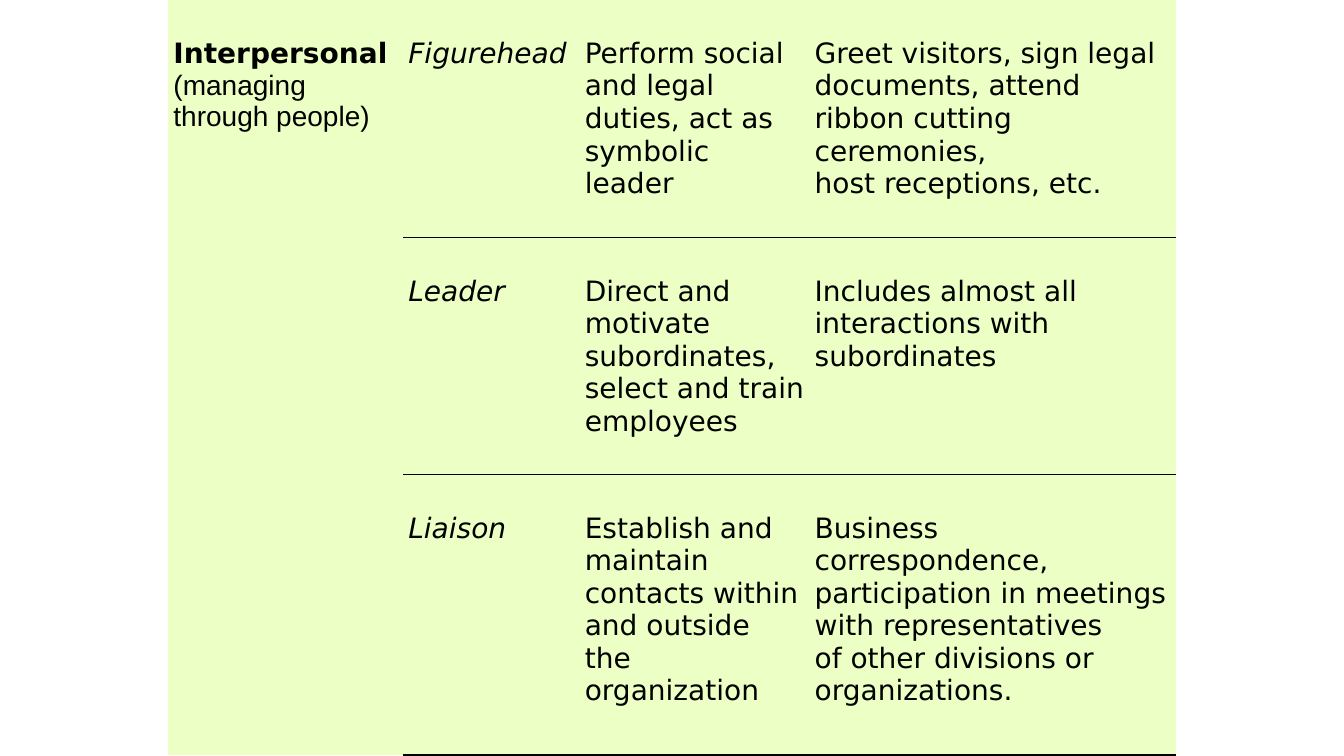
"""Build a slide with a table of the interpersonal management roles."""
from dataclasses import dataclass

from lxml.etree import SubElement
from pptx import Presentation
from pptx.dml.color import RGBColor
from pptx.oxml.ns import qn
from pptx.util import Inches, Pt

CATEGORY = ("Interpersonal", "(managing through people)")
ROLES = [
    ("Figurehead",
     "Perform social and legal duties, act as symbolic leader",
     "Greet visitors, sign legal documents, attend ribbon cutting ceremonies,\n"
     "host receptions, etc."),
    ("Leader",
     "Direct and motivate subordinates, select and train employees",
     "Includes almost all interactions with subordinates"),
    ("Liaison",
     "Establish and maintain contacts within and outside the organization",
     "Business correspondence, participation in meetings with representatives\n"
     "of other divisions or organizations."),
]
SLIDE_W, SLIDE_H = 13.33, 7.5
COL_WIDTHS = (2.33, 1.75, 2.28, 3.63)
ROW_HEIGHTS = (2.36, 2.35, 2.78)


@dataclass(frozen=True)
class Theme:
    fill: str = "ECFFC4"
    ink: str = "000000"
    font: str = "DejaVu Sans"
    note_font: str = "Arial"
    size: float = 20
    rule: float = 1
    inset: float = 0.05
    top_inset: float = 0.37


THEME = Theme()


def write(p, text, font=THEME.font, bold=False, italic=False):
    for i, line in enumerate(text.split("\n")):
        if i:
            p.add_line_break()
        r = p.add_run()
        r.text = line
        r.font.name, r.font.size = font, Pt(THEME.size)
        r.font.bold, r.font.italic = bold, italic
        r.font.color.rgb = RGBColor.from_string(THEME.ink)


def style_cell(cell, ruled_sides):
    cell.margin_left = cell.margin_right = cell.margin_bottom = Inches(THEME.inset)
    cell.margin_top = Inches(THEME.top_inset)
    tc_pr = cell._tc.get_or_add_tcPr()
    for side in "LRTB":
        ln = SubElement(tc_pr, qn(f"a:ln{side}"), w=str(Pt(THEME.rule)))
        if side in ruled_sides:
            color = SubElement(ln, qn("a:solidFill"))
            SubElement(color, qn("a:srgbClr"), val=THEME.ink)
        else:
            SubElement(ln, qn("a:noFill"))
    cell.fill.solid()
    cell.fill.fore_color.rgb = RGBColor.from_string(THEME.fill)


def main():
    prs = Presentation()
    prs.slide_width, prs.slide_height = Inches(SLIDE_W), Inches(SLIDE_H)
    s = prs.slides.add_slide(prs.slide_layouts[6])
    width = sum(COL_WIDTHS)
    table = s.shapes.add_table(
        len(ROW_HEIGHTS), len(COL_WIDTHS), Inches((SLIDE_W - width) / 2), 0,
        Inches(width), Inches(sum(ROW_HEIGHTS))).table
    table.first_row = table.horz_banding = False
    for col, w in zip(table.columns, COL_WIDTHS):
        col.width = Inches(w)
    for row, h in zip(table.rows, ROW_HEIGHTS):
        row.height = Inches(h)

    for i, role in enumerate(ROLES):
        style_cell(table.cell(i, 0), "")
        for j, text in enumerate(role, 1):
            cell = table.cell(i, j)
            style_cell(cell, "TB" if i else "B")
            write(cell.text_frame.paragraphs[0], text, italic=j == 1)

    category = table.cell(0, 0)
    category.merge(table.cell(len(ROLES) - 1, 0))
    tf = category.text_frame
    write(tf.paragraphs[0], CATEGORY[0], bold=True)
    write(tf.add_paragraph(), CATEGORY[1], font=THEME.note_font)
    prs.save("out.pptx")


if __name__ == "__main__":
    main()
